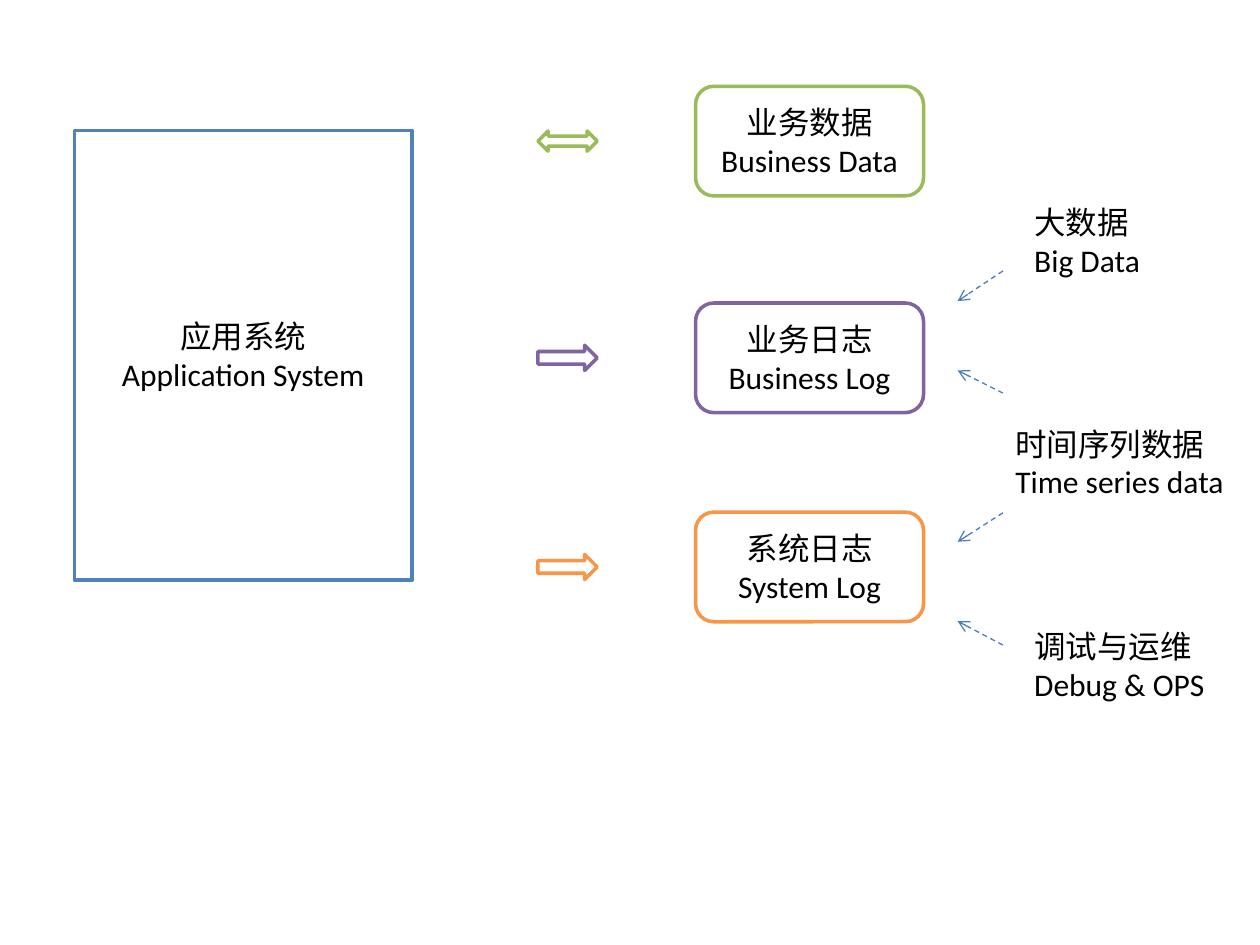
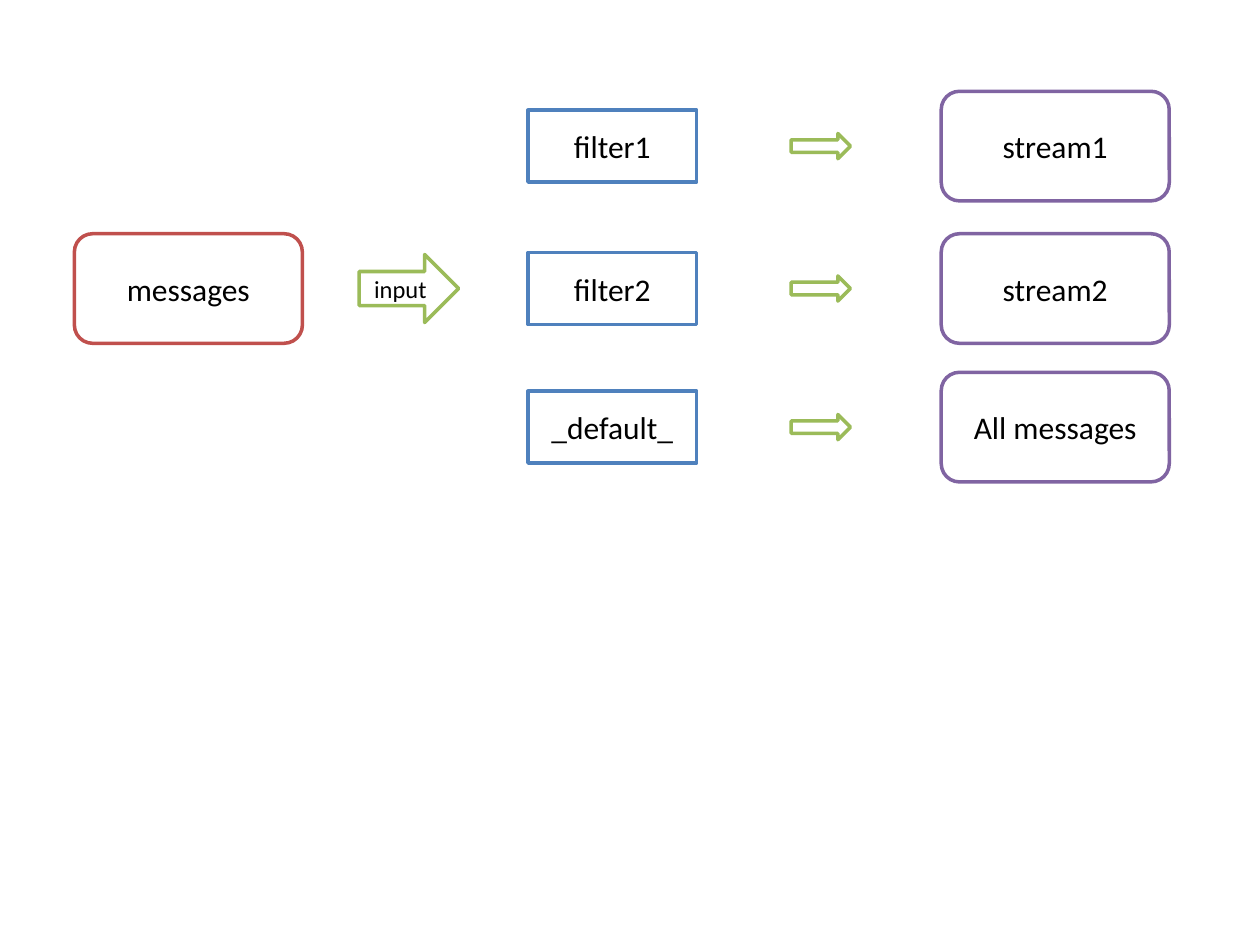
from lxml import etree
from pptx import Presentation
from pptx.dml.color import RGBColor
from pptx.enum.dml import MSO_LINE
from pptx.enum.shapes import MSO_CONNECTOR, MSO_SHAPE
from pptx.enum.text import MSO_ANCHOR, MSO_AUTO_SIZE, PP_ALIGN
from pptx.oxml.ns import qn
from pptx.util import Inches, Pt

RECTANGLE = MSO_SHAPE.RECTANGLE
ROUNDED = MSO_SHAPE.ROUNDED_RECTANGLE
RIGHT_ARROW = MSO_SHAPE.RIGHT_ARROW
TWO_WAY_ARROW = MSO_SHAPE.LEFT_RIGHT_ARROW
STRAIGHT = MSO_CONNECTOR.STRAIGHT
DASH = MSO_LINE.DASH
MIDDLE = MSO_ANCHOR.MIDDLE
FIT_SHAPE = MSO_AUTO_SIZE.SHAPE_TO_FIT_TEXT
CENTER, LEFT = PP_ALIGN.CENTER, PP_ALIGN.LEFT

FONT = "Calibri"
COLORS = {
    "white": "FFFFFF",
    "text": "000000",
    "blue": "4F81BD",
    "red": "C0504D",
    "green": "9BBB59",
    "purple": "8064A2",
    "orange": "F79646",
    "pointer": "4B7EBC",
}
BLANK_LAYOUT = 6
LEFT_MARGIN = 0.59
STORE_SIZE = (1.81, 0.87)
FILTER_SIZE = (1.34, 0.57)
ARROW_SIZE = (0.47, 0.2)
TWO_WAY_SIZE = (0.47, 0.16)
INPUT_SIZE = (0.79, 0.54)


def color(name):
    return RGBColor.from_string(COLORS[name])


def write_lines(text_frame, lines, alignment, size=18):
    """Put each line in its own paragraph."""
    text_frame.text = "\n".join(lines)
    for paragraph in text_frame.paragraphs:
        paragraph.alignment = alignment
        paragraph.font.name = FONT
        paragraph.font.size = Pt(size)
        paragraph.font.color.rgb = color("text")


def add_outlined(slide, kind, left, center_y, size, line_color, lines=(), text_size=18):
    """Add a white shape with a coloured outline, centred vertically on center_y."""
    width, height = size
    shape = slide.shapes.add_shape(
        kind, Inches(left), Inches(center_y - height / 2), Inches(width), Inches(height))
    shape.shadow.inherit = False
    shape.fill.solid()
    shape.fill.fore_color.rgb = color("white")
    shape.line.color.rgb = color(line_color)
    shape.line.width = Pt(2)
    if lines:
        shape.text_frame.vertical_anchor = MIDDLE
        write_lines(shape.text_frame, lines, CENTER, text_size)


def add_label(slide, left, top, width, lines):
    box = slide.shapes.add_textbox(Inches(left), Inches(top), Inches(width), Inches(0.71))
    box.text_frame.word_wrap = False
    box.text_frame.auto_size = FIT_SHAPE
    write_lines(box.text_frame, lines, LEFT)


def add_pointer(slide, start_y, end_y):
    """Add a dashed arrow from a label on the right towards a data store."""
    connector = slide.shapes.add_connector(
        STRAIGHT, Inches(7.96), Inches(start_y), Inches(7.6), Inches(end_y))
    connector.line.color.rgb = color("pointer")
    connector.line.width = Pt(0.75)
    connector.line.dash_style = DASH
    line = connector.line._get_or_add_ln()
    etree.SubElement(line, qn("a:tailEnd"), type="arrow")
    etree.SubElement(connector._element.spPr, qn("a:effectLst"))


def build_data_kinds(presentation):
    slide = presentation.slides.add_slide(presentation.slide_layouts[BLANK_LAYOUT])
    add_outlined(slide, RECTANGLE, LEFT_MARGIN, 2.82, (2.68, 3.57), "blue",
                 ["应用系统", "Application System"])

    stores = [
        (1.12, "green", TWO_WAY_ARROW, TWO_WAY_SIZE, ["业务数据", "Business Data"]),
        (2.84, "purple", RIGHT_ARROW, ARROW_SIZE, ["业务日志", "Business Log"]),
        (4.5, "orange", RIGHT_ARROW, ARROW_SIZE, ["系统日志", "System Log"]),
    ]
    for center_y, line_color, arrow, arrow_size, lines in stores:
        add_outlined(slide, arrow, 4.27, center_y, arrow_size, line_color)
        add_outlined(slide, ROUNDED, 5.52, center_y, STORE_SIZE, line_color, lines)

    add_label(slide, 8.11, 1.56, 1.05, ["大数据", "Big Data"])
    add_label(slide, 7.96, 3.32, 1.87, ["时间序列数据", "Time series data"])
    add_label(slide, 8.11, 4.93, 1.57, ["调试与运维", "Debug & OPS"])
    for start_y, end_y in [(2.15, 2.39), (3.12, 2.94), (4.07, 4.3), (5.12, 4.93)]:
        add_pointer(slide, start_y, end_y)


def build_message_routing(presentation):
    slide = presentation.slides.add_slide(presentation.slide_layouts[BLANK_LAYOUT])
    input_y = 2.29
    add_outlined(slide, ROUNDED, LEFT_MARGIN, input_y, STORE_SIZE, "red", ["messages"])
    add_outlined(slide, RIGHT_ARROW, 2.85, input_y, INPUT_SIZE, "green", ["input"], 14)

    routes = [
        (1.16, "filter1", "stream1"),
        (input_y, "filter2", "stream2"),
        (3.39, "_default_", "All messages"),
    ]
    for center_y, filter_name, stream_name in routes:
        add_outlined(slide, RECTANGLE, 4.19, center_y, FILTER_SIZE, "blue", [filter_name])
        add_outlined(slide, RIGHT_ARROW, 6.28, center_y, ARROW_SIZE, "green")
        add_outlined(slide, ROUNDED, 7.47, center_y, STORE_SIZE, "purple", [stream_name])


def main():
    presentation = Presentation()
    presentation.slide_width = Inches(10)
    presentation.slide_height = Inches(7.5)
    build_data_kinds(presentation)
    build_message_routing(presentation)
    presentation.save("out.pptx")


if __name__ == "__main__":
    main()
